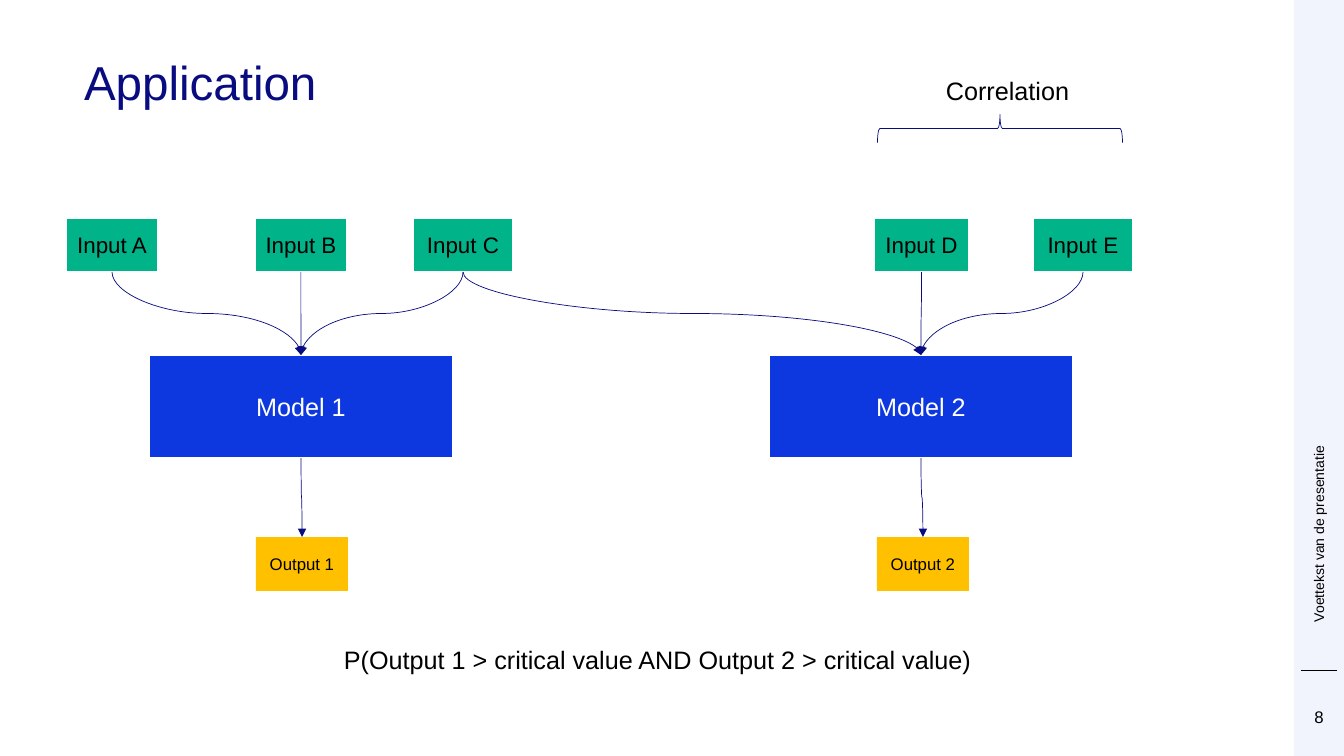
from lxml.etree import SubElement
from pptx import Presentation
from pptx.dml.color import RGBColor
from pptx.enum.shapes import MSO_CONNECTOR, MSO_SHAPE
from pptx.enum.text import MSO_ANCHOR, MSO_AUTO_SIZE, PP_ALIGN
from pptx.oxml.ns import qn
from pptx.util import Pt

PX = 914400 / 100.8
NAVY = RGBColor(0x08, 0x0C, 0x80)
BLUE = RGBColor(0x0D, 0x38, 0xE0)
GREEN = RGBColor(0x00, 0xB3, 0x89)
GOLD = RGBColor(0xFF, 0xC0, 0x00)
PALE = RGBColor(0xF1, 0xF3, 0xFD)
BLACK = RGBColor(0, 0, 0)
WHITE = RGBColor(255, 255, 255)

# Row style: top, height, fill, outline, text size, text colour
ROWS = {
    "Input": (218, 54, GREEN, WHITE, 16, BLACK),
    "Model": (355, 103, BLUE, WHITE, 18, WHITE),
    "Output": (537, 54, GOLD, None, 12, BLACK),
}
# Name: left, width
NODES = {
    "Input A": (66, 92),
    "Input B": (255, 92),
    "Input C": (413, 100),
    "Input D": (874, 95),
    "Input E": (1033, 100),
    "Model 1": (149, 304),
    "Model 2": (769, 304),
    "Output 1": (256, 92),
    "Output 2": (877, 92),
}
LINKS = [
    ("Input A", "Model 1"), ("Input B", "Model 1"), ("Input C", "Model 1"),
    ("Input C", "Model 2"), ("Input D", "Model 2"), ("Input E", "Model 2"),
    ("Model 1", "Output 1"), ("Model 2", "Output 2"),
]
FLUSH = dict(margin_left=0, margin_right=0, margin_top=0, margin_bottom=0,
             word_wrap=True)
LOOSE = dict(word_wrap=False, auto_size=MSO_AUTO_SIZE.SHAPE_TO_FIT_TEXT)
MIDDLE = dict(vertical_anchor=MSO_ANCHOR.MIDDLE, word_wrap=True)
# Text, box, size, colour, frame format, paragraph format
TEXTS = [
    ("Application", (84, 59, 1159, 103), 34, NAVY, FLUSH,
     dict(line_spacing=0.9)),
    ("8", (1294, 707, 50, 20), 12, BLACK, FLUSH,
     dict(alignment=PP_ALIGN.CENTER)),
    ("P(Output 1 > critical value AND Output 2 > critical value)",
     (334, 639, 661, 40), 18, BLACK, LOOSE, {}),
    ("Correlation", (936, 70, 145, 40), 18, BLACK, LOOSE, {}),
]
FOOTER = ("Voettekst van de presentatie", (1310, 59, 17, 563), 10, BLACK,
          FLUSH | MIDDLE, {})


def emu(*nums):
    return [round(n * PX) for n in nums]


def assign(item, values):
    for key, value in values.items():
        setattr(item, key, value)


def write(shape, text, size, color, frame, para):
    body = shape.text_frame
    assign(body, frame)
    line = body.paragraphs[0]
    line.text = text
    assign(line, para)
    assign(line.font, dict(name="Arial", size=Pt(size)))
    line.font.color.rgb = color


def label(slide, text, box, *style):
    shape = slide.shapes.add_textbox(*emu(*box))
    write(shape, text, *style)
    return shape


def draw(slide, kind, box, fill=None, edge=None, width=1.5):
    shape = slide.shapes.add_shape(kind, *emu(*box))
    shape.shadow.inherit = False
    for part, color in ((shape.fill, fill), (shape.line.fill, edge)):
        if color is None:
            part.background()
        else:
            part.solid()
            part.fore_color.rgb = color
    if edge is not None:
        shape.line.width = Pt(width)
    return shape


def stroke(line, color):
    line.line.color.rgb = color
    line.line.width = Pt(0.5)
    SubElement(line._element.spPr, qn("a:effectLst"))


def link(slide, start, end):
    """Curve from the bottom of start to the top of end, with an arrowhead."""
    x1, y1 = start.left + start.width // 2, start.top + start.height
    x2, y2 = end.left + end.width // 2, end.top
    line = slide.shapes.add_connector(MSO_CONNECTOR.CURVE, x1, y1, x2, y2)
    line.begin_connect(start, 2)
    line.end_connect(end, 0)
    # The preset runs sideways, so its box is turned about its centre.
    wide, high = y2 - y1, abs(x2 - x1)
    assign(line, dict(left=(x1 + x2 - wide) // 2, top=(y1 + y2 - high) // 2,
                      width=wide, height=high))
    right = x2 >= x1
    turn = line._element.spPr.find(qn("a:xfrm"))
    turn.set("rot", str((270 if right else 90) * 60000))
    turn.set("flipH", str(int(right)))
    turn.set("flipV", "0")
    stroke(line, NAVY)
    SubElement(line.line._get_or_add_ln(), qn("a:tailEnd"), type="triangle")


def main():
    deck = Presentation()
    deck.slide_width, deck.slide_height = emu(1344, 756)
    slide = deck.slides.add_slide(deck.slide_layouts[6])

    draw(slide, MSO_SHAPE.RECTANGLE, (1294, 0, 50, 756), PALE)
    rule = slide.shapes.add_connector(
        MSO_CONNECTOR.STRAIGHT, *emu(1301, 670, 1337, 670))
    stroke(rule, BLACK)

    for item in TEXTS:
        label(slide, *item)
    side = label(slide, *FOOTER)
    side.text_frame._txBody.bodyPr.set("vert", "vert270")

    boxes = {}
    for name, (left, width) in NODES.items():
        top, high, fill, edge, size, color = ROWS[name.split()[0]]
        box = draw(slide, MSO_SHAPE.RECTANGLE, (left, top, width, high),
                   fill, edge)
        write(box, name, size, color, MIDDLE,
              dict(alignment=PP_ALIGN.CENTER))
        boxes[name] = box
    for start, end in LINKS:
        link(slide, boxes[start], boxes[end])

    brace = draw(slide, MSO_SHAPE.RIGHT_BRACE, (986, 6, 28, 245),
                 edge=NAVY, width=0.5)
    brace.rotation = 270
    deck.save("out.pptx")


if __name__ == "__main__":
    main()
